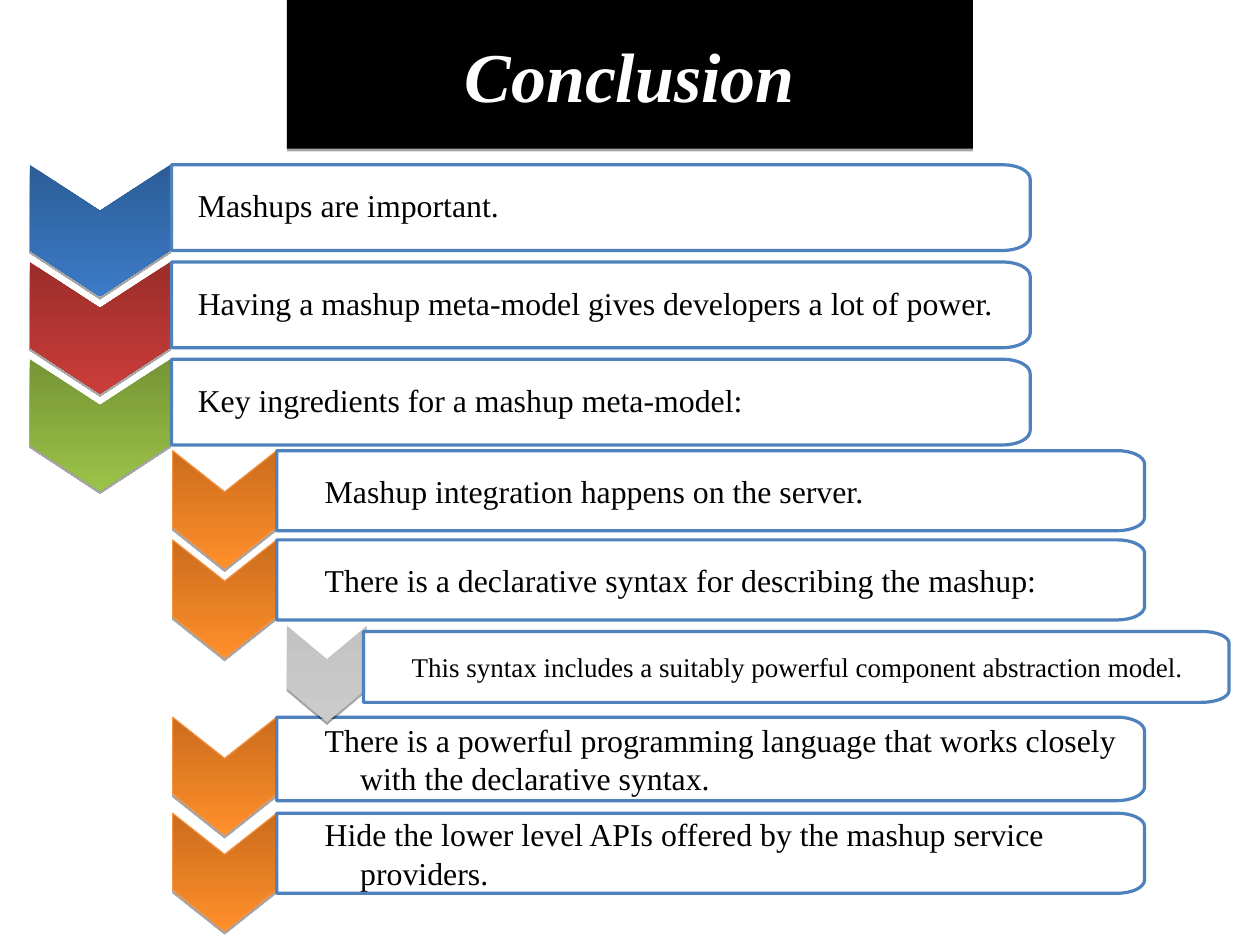
from dataclasses import dataclass
from math import cos, pi, sin

from lxml import etree
from pptx import Presentation
from pptx.dml.color import RGBColor
from pptx.enum.shapes import MSO_SHAPE
from pptx.enum.text import MSO_ANCHOR, PP_ALIGN
from pptx.oxml.ns import qn
from pptx.util import Inches, Pt

RECTANGLE = MSO_SHAPE.RECTANGLE
MIDDLE = MSO_ANCHOR.MIDDLE
LEFT, CENTER = PP_ALIGN.LEFT, PP_ALIGN.CENTER


@dataclass(frozen=True)
class Theme:
    """Colours, font and type sizes of the slide."""
    font: str = "Times New Roman"
    title_size: int = 44
    point_size: int = 20
    detail_size: int = 17
    ink: str = "000000"
    paper: str = "FFFFFF"
    outline: str = "4F81BD"
    blue: tuple = ("2C5D98", "3C7BC7")
    red: tuple = ("9B2D2A", "CB3D3A")
    green: tuple = ("769535", "9BC348")
    orange: tuple = ("CB6C1D", "FF8F2A")
    orange_edge: str = "F69240"
    grey: tuple = ("C3C3C3", "CBCBCB")


@dataclass(frozen=True)
class Tier:
    """Measures in inches and text settings shared by rows of one indent level."""
    arrow_left: float
    arrow_width: float
    arrow_height: float
    arrow_rise: float
    panel_left: float
    panel_width: float
    text_indent: float
    text_size: int
    line_spacing: float = 1.0
    space_after: int = 0
    edge: str = ""


THEME = Theme()
MAIN = Tier(0.26, 1.23, 1.15, 0, 1.5, 7.51, 0.31, THEME.point_size, 0.9, 5)
SUB = Tier(1.51, 0.91, 1.03, 0, 2.42, 7.59, 0.5, THEME.point_size,
           edge=THEME.orange_edge)
DETAIL = Tier(2.51, 0.7, 0.84, 0.05, 3.18, 7.57, 0.5, THEME.detail_size)

ROWS = [
    (MAIN, 1.44, 0.75, THEME.blue, "Mashups are important."),
    (MAIN, 2.29, 0.75, THEME.red,
     "Having a mashup meta-model gives developers a lot of power."),
    (MAIN, 3.14, 0.75, THEME.green, "Key ingredients for a mashup meta-model:"),
    (SUB, 3.94, 0.7, THEME.orange, "Mashup integration happens on the server."),
    (SUB, 4.72, 0.7, THEME.orange,
     "There is a declarative syntax for describing the mashup:"),
    (SUB, 6.27, 0.73, THEME.orange,
     "There is a powerful programming language that works closely "
     "with the declarative syntax."),
    (SUB, 7.11, 0.7, THEME.orange,
     "Hide the lower level APIs offered by the mashup service providers."),
    (DETAIL, 5.52, 0.62, THEME.grey,
     "This syntax includes a suitably powerful component abstraction model."),
]


def rgb(code):
    """Turn a hex code into a colour."""
    return RGBColor.from_string(code)


def add_outline(slide, points):
    """Draw a closed outline through points given in inches."""
    start, *rest = [(Inches(x), Inches(y)) for x, y in points]
    builder = slide.shapes.build_freeform(*start)
    builder.add_line_segments(rest, close=True)
    shape = builder.convert_to_shape()
    shape.shadow.inherit = False
    return shape


def drop_shadow(shape):
    """Give a shape a thin hard shadow below it."""
    shape.shadow.inherit = False
    effects = shape._element.spPr.find(qn("a:effectLst"))
    shadow = etree.SubElement(effects, qn("a:outerShdw"), blurRad="0",
                              dist=str(Pt(1.8)), dir="5400000", rotWithShape="0")
    colour = etree.SubElement(shadow, qn("a:srgbClr"), val=THEME.ink)
    etree.SubElement(colour, qn("a:alpha"), val="35000")


def write(shape, text, size, colour, align):
    """Write one vertically centred run and return its paragraph and run."""
    frame = shape.text_frame
    frame.word_wrap = True
    frame.vertical_anchor = MIDDLE
    paragraph = frame.paragraphs[0]
    paragraph.alignment = align
    run = paragraph.add_run()
    run.text = text
    run.font.name = THEME.font
    run.font.size = Pt(size)
    run.font.color.rgb = rgb(colour)
    return paragraph, run


def add_title(slide, left, top, width, height):
    """Draw the black title banner in the given box."""
    banner = slide.shapes.add_shape(
        RECTANGLE, Inches(left), Inches(top), Inches(width), Inches(height))
    banner.fill.solid()
    banner.fill.fore_color.rgb = rgb(THEME.ink)
    banner.line.fill.background()
    drop_shadow(banner)
    _, run = write(banner, "Conclusion", THEME.title_size, THEME.paper, CENTER)
    run.font.bold = run.font.italic = True


def add_arrow(slide, left, top, width, height, shades, edge):
    """Draw a downward chevron with a vertical gradient in the given box."""
    middle, right = left + width / 2, left + width
    notch, shoulder = top + 0.35 * height, top + 0.65 * height
    arrow = add_outline(slide, [
        (right, top), (right, shoulder), (middle, top + height),
        (left, shoulder), (left, top), (middle, notch)])
    arrow.fill.gradient()
    arrow.fill.gradient_angle = 270
    for stop, shade in zip(arrow.fill.gradient_stops, shades):
        stop.color.rgb = rgb(shade)
    if edge:
        arrow.line.color.rgb = rgb(edge)
        arrow.line.width = Pt(0.75)
    else:
        arrow.line.fill.background()
    drop_shadow(arrow)


def add_panel(slide, left, top, width, height, tier, text):
    """Draw a panel with rounded right corners and its text in the given box."""
    right, bottom = left + width, top + height
    reach, drop = 0.24, height / 6
    turns = [step * pi / 16 for step in range(9)]
    upper = [(right - reach * (1 - sin(t)), top + drop * (1 - cos(t)))
             for t in turns]
    lower = [(x, top + bottom - y) for x, y in reversed(upper)]
    panel = add_outline(slide, [(left, top), *upper, *lower, (left, bottom)])
    panel.fill.solid()
    panel.fill.fore_color.rgb = rgb(THEME.paper)
    paper = panel._element.spPr.find(qn("a:solidFill"))[0]
    etree.SubElement(paper, qn("a:alpha"), val="90000")
    panel.line.color.rgb = rgb(THEME.outline)
    panel.line.width = Pt(2)

    frame = panel.text_frame
    frame.margin_left = Inches(0.23)
    frame.margin_top = frame.margin_right = frame.margin_bottom = Inches(0.08)
    paragraph, _ = write(panel, text, tier.text_size, THEME.ink, LEFT)
    paragraph.level = 1
    paragraph.line_spacing = tier.line_spacing
    paragraph.space_after = Pt(tier.space_after)
    settings = paragraph._p.get_or_add_pPr()
    settings.set("marL", str(Inches(tier.text_indent)))
    settings.set("indent", str(Inches(-0.31)))


def add_row(slide, tier, top, height, shades, text):
    """Place a chevron and its panel at the tier's indent."""
    add_arrow(slide, tier.arrow_left, top - tier.arrow_rise, tier.arrow_width,
              tier.arrow_height, shades, tier.edge)
    add_panel(slide, tier.panel_left, top, tier.panel_width, height, tier, text)


def main():
    """Build the conclusion slide and save it."""
    deck = Presentation()
    deck.slide_width, deck.slide_height = Inches(11.02), Inches(8.27)
    slide = deck.slides.add_slide(deck.slide_layouts[6])
    add_title(slide, 2.51, 0, 6, 1.3)
    for row in ROWS:
        add_row(slide, *row)
    deck.save("out.pptx")


if __name__ == "__main__":
    main()
